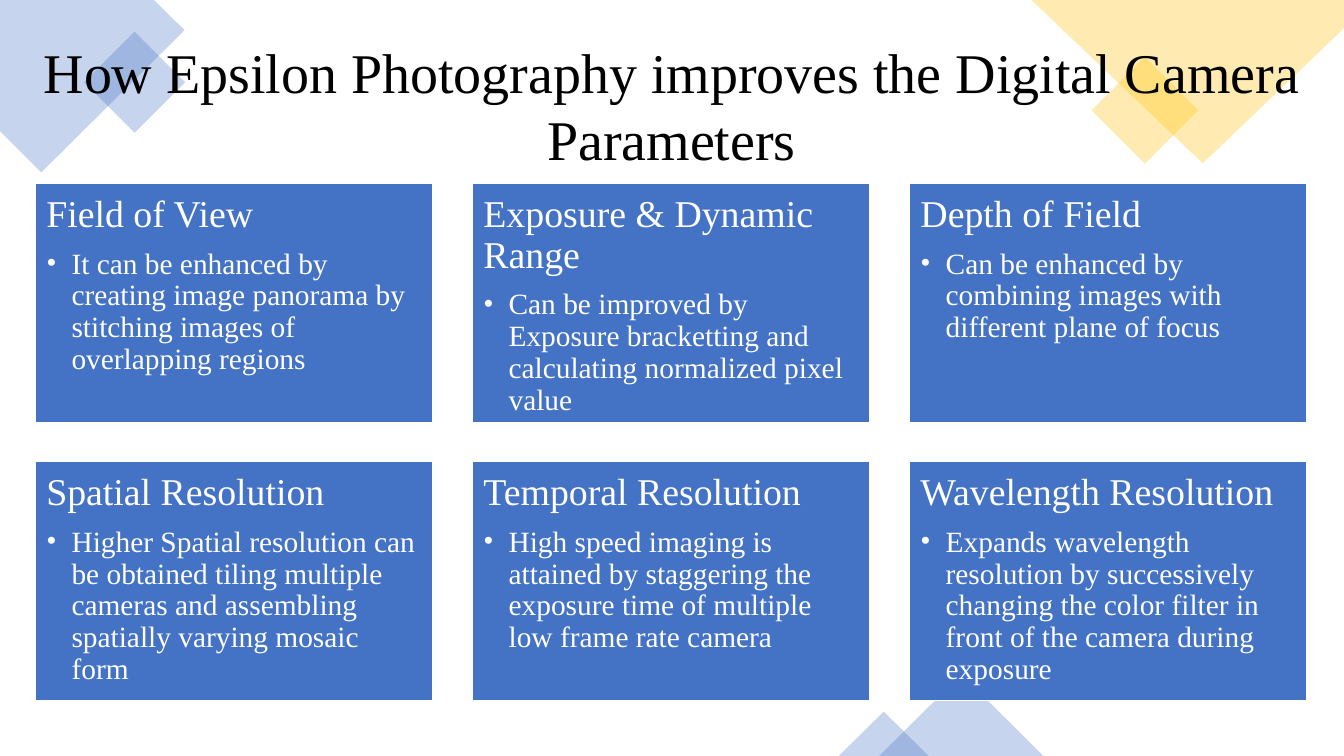
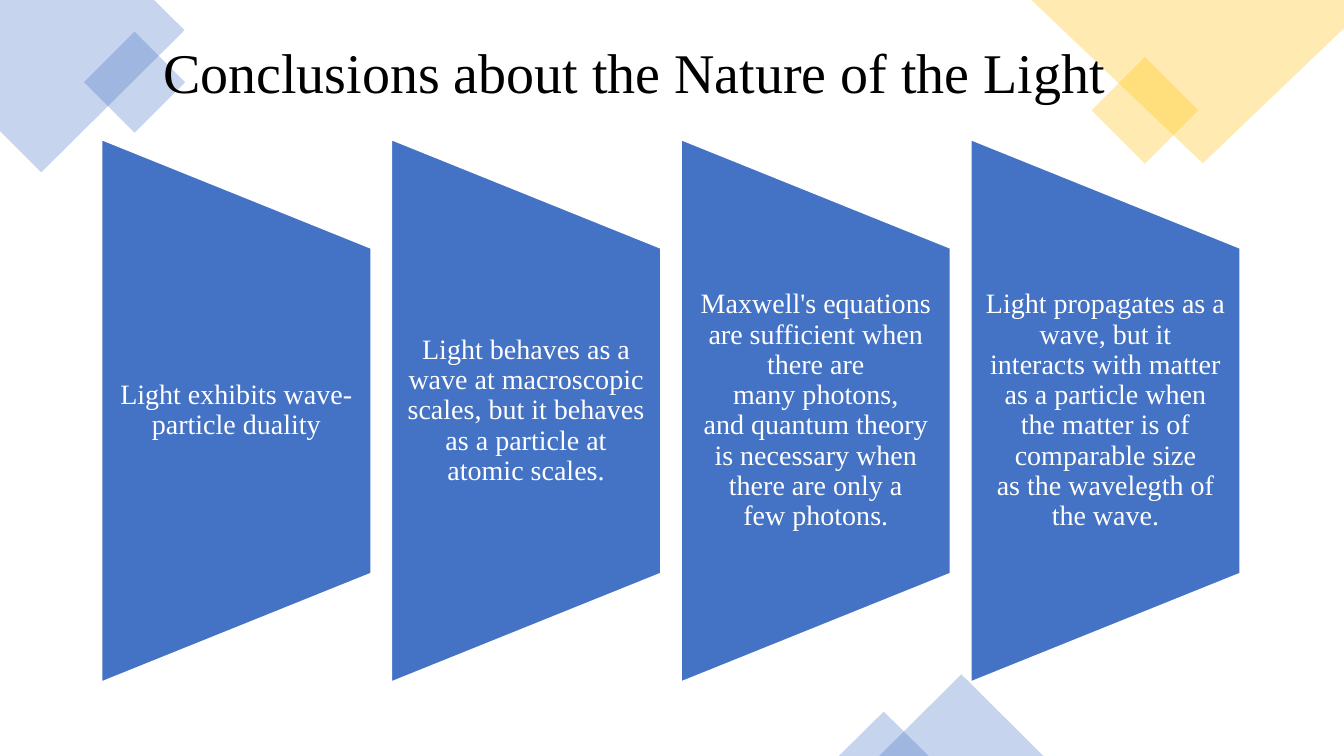
from dataclasses import dataclass

from lxml.etree import SubElement
from pptx import Presentation
from pptx.dml.color import RGBColor
from pptx.enum.shapes import MSO_SHAPE
from pptx.enum.text import MSO_ANCHOR, MSO_AUTO_SIZE, PP_ALIGN
from pptx.oxml.ns import qn
from pptx.util import Inches, Pt

BLUE, GOLD, WHITE, BLACK = "4472C4", "FFC000", "FFFFFF", "000000"
FONT = "Times New Roman"
NBSP = chr(160)
ALPHA = 30


@dataclass
class Box:
    x: float
    y: float
    w: float
    h: float

    def emu(self) -> list:
        return [Inches(v) for v in (self.x, self.y, self.w, self.h)]


@dataclass
class Decor:
    kind: MSO_SHAPE
    box: Box
    color: str
    rotation: float = 0


@dataclass
class Outline:
    points: list
    color: str


@dataclass
class Card:
    head: str
    body: str


OUTLINES = [
    Outline([(0, 0), (1.53, 0), (1.83, 0.3), (0.41, 1.71), (0, 1.3)], BLUE),
    Outline([(10.23, 0), (13.33, 0), (13.33, 0.28), (11.93, 1.62)], GOLD),
]
DECORS = [
    Decor(MSO_SHAPE.RECTANGLE, Box(0.98, 0.46, 0.71, 0.71), BLUE, 315),
    Decor(MSO_SHAPE.RECTANGLE, Box(10.98, 0.72, 0.75, 0.75), GOLD, 315),
    Decor(MSO_SHAPE.ISOSCELES_TRIANGLE, Box(8.72, 6.69, 1.63, 0.81), BLUE),
    Decor(MSO_SHAPE.ISOSCELES_TRIANGLE, Box(8.32, 7.06, 0.89, 0.44), BLUE),
]
CARDS = [
    Card("Field of View",
         "It can be enhanced by creating image panorama by stitching images of overlapping regions"),
    Card("Exposure & Dynamic Range",
         "Can be improved by Exposure bracketting and calculating normalized pixel value"),
    Card("Depth of Field",
         "Can be enhanced by combining images with different plane of focus"),
    Card("Spatial Resolution",
         "Higher Spatial resolution can be obtained tiling multiple cameras and assembling "
         "spatially varying mosaic form"),
    Card("Temporal Resolution",
         "High speed imaging is attained by staggering the exposure time of multiple "
         "low frame rate camera"),
    Card("Wavelength Resolution",
         "Expands wavelength resolution by successively changing the color filter in front of "
         "the camera during exposure"),
]
CONCLUSIONS = [
    f"Light exhibits wave-particle{NBSP}duality",
    "Light behaves as a wave at macroscopic scales, but it behaves as a particle at "
    f"atomic{NBSP}scales.",
    f"Maxwell's equations are sufficient when there are many{NBSP}photons, "
    f"and{NBSP}quantum{NBSP}theory is necessary when there are only a few{NBSP}photons.",
    f"Light propagates as a wave, but it interacts{NBSP}with{NBSP}matter as a particle when "
    f"the matter is of comparable size as{NBSP}the wavelegth of the wave.",
]


def rgb(color: str) -> RGBColor:
    return RGBColor.from_string(color)


def apply(target, values: dict) -> None:
    for name, value in values.items():
        setattr(target, name, value)


def paint(sp, color: str, alpha: int = 100, line: str = "") -> None:
    sp.shadow.inherit = False
    sp.fill.solid()
    sp.fill.fore_color.rgb = rgb(color)
    if alpha < 100:
        clr = sp.fill._xPr.find(qn("a:solidFill"))[0]
        SubElement(clr, qn("a:alpha")).set("val", str(alpha * 1000))
    if line:
        sp.line.color.rgb = rgb(line)
        sp.line.width = Pt(1)
    else:
        sp.line.fill.background()


def setup_frame(tf, anchor: MSO_ANCHOR, inset_x: float, inset_y: float) -> None:
    apply(tf, {
        "word_wrap": True, "auto_size": MSO_AUTO_SIZE.NONE, "vertical_anchor": anchor,
        "margin_left": Inches(inset_x), "margin_right": Inches(inset_x),
        "margin_top": Inches(inset_y), "margin_bottom": Inches(inset_y),
    })


def write(p, text: str, size: float, color: str, **layout) -> None:
    apply(p, layout)
    r = p.add_run()
    r.text = text
    apply(r.font, {"name": FONT, "size": Pt(size)})
    r.font.color.rgb = rgb(color)


def add_bullet(p) -> None:
    pPr = p._p.get_or_add_pPr()
    pPr.set("marL", str(Inches(0.25)))
    pPr.set("indent", str(-Inches(0.25)))
    SubElement(pPr, qn("a:buFont")).set("typeface", FONT)
    SubElement(pPr, qn("a:buChar")).set("char", "•")


def add_outline(s, outline: Outline) -> None:
    points = [(Inches(x), Inches(y)) for x, y in outline.points]
    fb = s.shapes.build_freeform(*points[0])
    fb.add_line_segments(points[1:], close=True)
    paint(fb.convert_to_shape(), outline.color, ALPHA)


def add_decor(s, decor: Decor) -> None:
    sp = s.shapes.add_shape(decor.kind, *decor.box.emu())
    sp.rotation = decor.rotation
    paint(sp, decor.color, ALPHA)


def add_slide(prs, title: str, box: Box):
    s = prs.slides.add_slide(prs.slide_layouts[5])
    for outline in OUTLINES:
        add_outline(s, outline)
    for decor in DECORS:
        add_decor(s, decor)
    sp = s.shapes.title
    s.shapes._spTree.append(sp._element)
    apply(sp, dict(zip(("left", "top", "width", "height"), box.emu())))
    setup_frame(sp.text_frame, MSO_ANCHOR.TOP, 0.1, 0.05)
    write(sp.text_frame.paragraphs[0], title, 40, BLACK, alignment=PP_ALIGN.CENTER)
    return s


def add_card(s, card: Card, box: Box) -> None:
    sp = s.shapes.add_shape(MSO_SHAPE.RECTANGLE, *box.emu())
    paint(sp, BLUE, line=WHITE)
    tf = sp.text_frame
    setup_frame(tf, MSO_ANCHOR.TOP, 0.11, 0.11)
    write(tf.paragraphs[0], card.head, 27, WHITE, alignment=PP_ALIGN.LEFT,
          line_spacing=0.9, space_after=Pt(9.5))
    p = tf.add_paragraph()
    add_bullet(p)
    write(p, card.body, 21, WHITE, alignment=PP_ALIGN.LEFT, line_spacing=0.9, level=1)


def add_strip(s, text: str, box: Box) -> None:
    length = 5.38
    mid_x, mid_y = box.x + box.w / 2, box.y + box.h / 2
    turned = Box(mid_x - length / 2, mid_y - box.w / 2, length, box.w)
    sp = s.shapes.add_shape(MSO_SHAPE.FLOWCHART_MANUAL_OPERATION, *turned.emu())
    sp.rotation = 270
    paint(sp, BLUE, line=WHITE)
    tf = s.shapes.add_textbox(*box.emu()).text_frame
    setup_frame(tf, MSO_ANCHOR.MIDDLE, 0.14, 0)
    write(tf.paragraphs[0], text, 20, WHITE, alignment=PP_ALIGN.CENTER, line_spacing=0.9)


def main() -> None:
    prs = Presentation()
    apply(prs, {"slide_width": Inches(13.33), "slide_height": Inches(7.5)})

    s = add_slide(prs, "How Epsilon Photography improves the Digital Camera Parameters",
                  Box(0.12, 0.32, 13.08, 1.45))
    left, right, top, bottom = 0.35, 9.02, 1.82, 4.58
    for i, card in enumerate(CARDS):
        row, col = divmod(i, 3)
        x, y = left + col * (right - left) / 2, top + row * (bottom - top)
        add_card(s, card, Box(x, y, 3.94, 2.37))

    s = add_slide(prs, "Conclusions about the Nature of the Light",
                  Box(0.69, 0.32, 11.2, 0.77))
    left, right = 1.01, 9.63
    for i, text in enumerate(CONCLUSIONS):
        x = left + i * (right - left) / (len(CONCLUSIONS) - 1)
        add_strip(s, text, Box(x, 2.46, 2.67, 3.23))

    prs.save("out.pptx")


if __name__ == "__main__":
    main()
